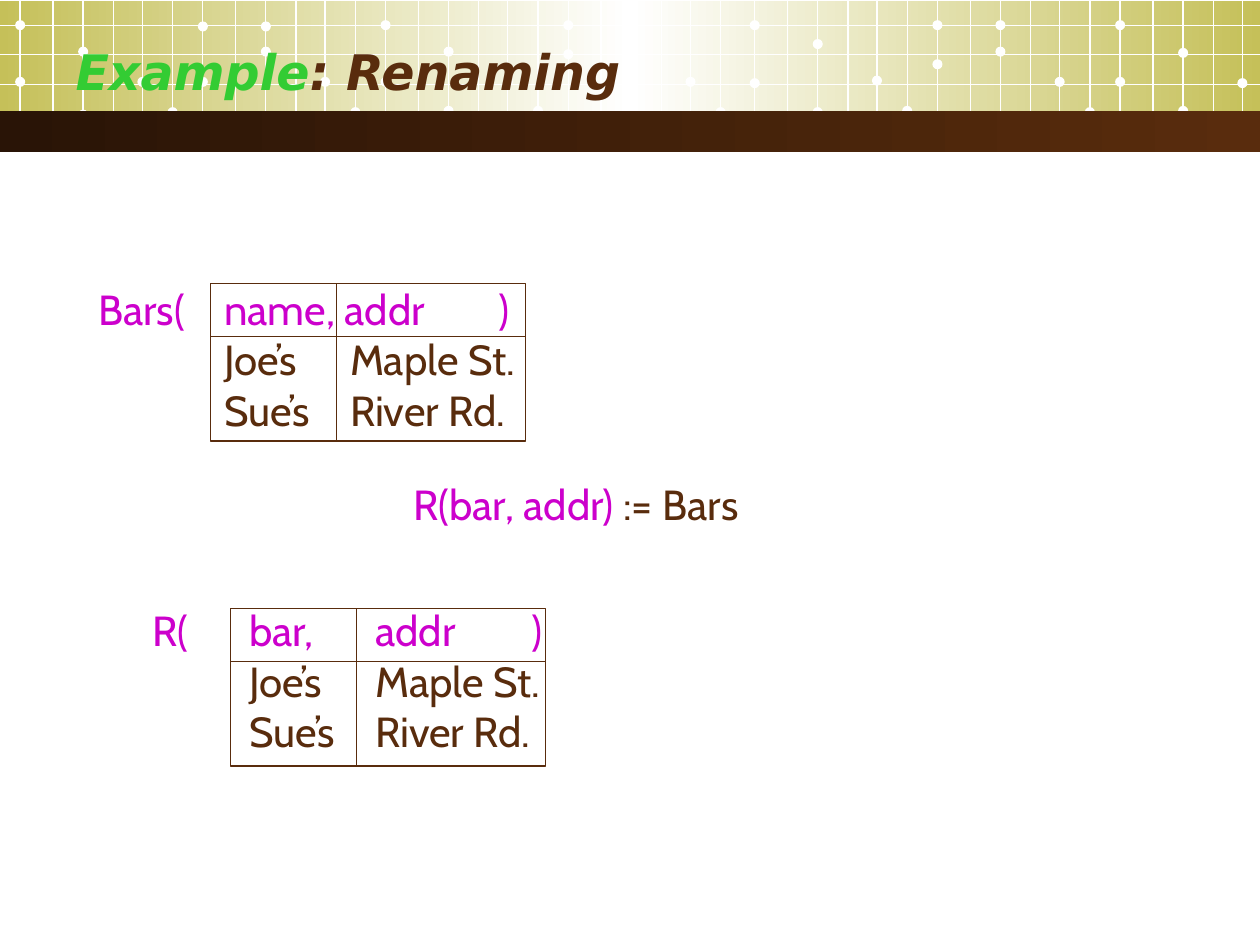
from copy import deepcopy

from pptx import Presentation
from pptx.dml.color import RGBColor
from pptx.enum.shapes import MSO_CONNECTOR as Connector, MSO_SHAPE as Shape
from pptx.enum.text import MSO_ANCHOR as Anchor, PP_ALIGN as Align
from pptx.oxml.ns import qn
from pptx.util import Inches, Pt

OLIVE = RGBColor(0xC5, 0xC0, 0x59)
WHITE = RGBColor(0xFF, 0xFF, 0xFF)
DARK_BROWN = RGBColor(0x29, 0x14, 0x06)
BROWN = RGBColor(0x59, 0x2C, 0x0D)
GREEN = RGBColor(0x33, 0xCC, 0x33)
MAGENTA = RGBColor(0xCC, 0x00, 0xCC)

# Grid columns come in clusters that repeat the same six steps
CLUSTER_STARTS = (0.16, 1.61, 3.06, 4.51, 5.99, 7.44, 8.89)
COLUMN_STEPS = (0, 0.26, 0.5, 0.74, 0.97, 1.21)
GRID_ROWS = (0.2, 0.43, 0.67, 0.89)
DOT_SIZE = 0.08
DOT_COLUMNS = (0, 0, 2, 2, 4, 5)
# Top of each dot, one row for each cluster, in the order of DOT_COLUMNS
DOT_TOPS = (
    (0.16, 0.61, 0.37, 0.87, 0.61, 0.85),
    (0.17, 0.61, 0.17, 0.37, 0.61, 0.85),
    (0.16, 0.61, 0.37, 0.84, 0.61, 0.84),
    (0.16, 0.39, 0.16, 0.38, 0.61, 0.85),
    (0.16, 0.62, 0.31, 0.85, 0.60, 0.84),
    (0.16, 0.47, 0.16, 0.37, 0.61, 0.85),
    (0.16, 0.61, 0.38, 0.84, 0.62),
)


def add_box(shapes, kind, left, top, width, height):
    box = shapes.add_shape(kind, Inches(left), Inches(top), Inches(width), Inches(height))
    box.shadow.inherit = False
    return box


def add_line(shapes, x1, y1, x2, y2, color):
    line = shapes.add_connector(
        Connector.STRAIGHT, Inches(x1), Inches(y1), Inches(x2), Inches(y2))
    line.line.color.rgb = color
    line.line.width = Pt(0.75)
    properties = line.element.spPr
    properties.append(properties.makeelement(qn("a:effectLst"), {}))


def add_gradient_bar(shapes, left, top, width, height, colors):
    bar = add_box(shapes, Shape.RECTANGLE, left, top, width, height)
    bar.line.fill.background()
    bar.fill.gradient()
    bar.fill.gradient_angle = 0
    stop_list = bar.element.spPr.find(qn("a:gradFill")).find(qn("a:gsLst"))
    for _ in colors[2:]:
        stop_list.append(deepcopy(stop_list[0]))
    for index, (stop, color) in enumerate(zip(bar.fill.gradient_stops, colors)):
        stop.position = index / (len(colors) - 1)
        stop.color.rgb = color


def add_span(para, text, color, font, size):
    span = para.add_run()
    span.text = text
    span.font.name = font
    span.font.size = Pt(size)
    span.font.color.rgb = color
    return span


def add_banner(page, left, top, width):
    add_gradient_bar(page.shapes, left, top + 0.01, width, 1.02, (OLIVE, WHITE, OLIVE))
    grid = page.shapes.add_group_shape().shapes
    # Grid lines
    for start in CLUSTER_STARTS:
        for step in COLUMN_STEPS:
            x = start + step
            if x < width:
                add_line(grid, left + x, top, left + x, top + 1.1, WHITE)
    for y in GRID_ROWS:
        add_line(grid, left, top + y, left + width, top + y, WHITE)
    # Dots on the columns
    for start, tops in zip(CLUSTER_STARTS, DOT_TOPS):
        for column, dot_top in zip(DOT_COLUMNS, tops):
            x = left + start + COLUMN_STEPS[column] - DOT_SIZE / 2
            dot = add_box(grid, Shape.OVAL, x, top + dot_top, DOT_SIZE, DOT_SIZE)
            dot.fill.solid()
            dot.fill.fore_color.rgb = WHITE
            dot.line.fill.background()
    # Dark strip below the grid
    add_gradient_bar(page.shapes, left, top + 0.88, width, 0.33, (DARK_BROWN, BROWN))


def add_title(page, left, top, width, height):
    title = page.shapes.title
    title.left, title.top = Inches(left), Inches(top)
    title.width, title.height = Inches(width), Inches(height)
    title.text_frame.vertical_anchor = Anchor.MIDDLE
    para = title.text_frame.paragraphs[0]
    para.alignment = Align.LEFT
    for text, color in (("Example", GREEN), (": Renaming", BROWN)):
        span = add_span(para, text, color, "DejaVu Sans", 28)
        span.font.bold = span.font.italic = True
    # Bring the title in front of the banner
    title.element.getparent().append(title.element)


def add_text(page, left, top, width, height, lines, tabs=()):
    """Each line is a list of (text, color) spans; tabs are in inches."""
    box = page.shapes.add_textbox(Inches(left), Inches(top), Inches(width), Inches(height))
    frame = box.text_frame
    frame.word_wrap = True
    for index, line in enumerate(lines):
        para = frame.add_paragraph() if index else frame.paragraphs[0]
        for text, color in line:
            add_span(para, text, color, "Cabin", 24)
        if tabs:
            properties = para._p.get_or_add_pPr()
            stops = properties.makeelement(qn("a:tabLst"), {})
            properties.append(stops)
            for tab in tabs[index]:
                stops.append(stops.makeelement(
                    qn("a:tab"), {"pos": str(Inches(tab)), "algn": "l"}))


def add_relation(page, left, top, text_left, text_top, text_width, header, header_tabs):
    rows = [[(header, MAGENTA)], [("\tJoe’s\tMaple St.", BROWN)], [("\tSue’s\tRiver Rd.", BROWN)]]
    add_text(page, text_left, text_top, text_width, 1.3, rows, (header_tabs, (1, 2), (1, 2)))
    # Frame with a header rule and a column rule
    width, height = 2.5, 1.25
    frame = add_box(page.shapes, Shape.RECTANGLE, left, top, width, height)
    frame.fill.background()
    frame.line.color.rgb = BROWN
    frame.line.width = Pt(0.75)
    add_line(page.shapes, left, top + 0.42, left + width, top + 0.42, BROWN)
    add_line(page.shapes, left + 1, top, left + 1, top + height, BROWN)


def main():
    deck = Presentation()
    deck.slide_width, deck.slide_height = Inches(10), Inches(7.5)
    page = deck.slides.add_slide(deck.slide_layouts[5])
    add_banner(page, 0, 0, 10)
    add_title(page, 0.5, 0.25, 8.08, 0.62)
    add_relation(page, 1.67, 2.25, 0.68, 2.2, 3.79, "Bars(\tname, addr\t)", (1, 3.18))
    add_relation(page, 1.83, 4.83, 0.88, 4.75, 3.73, "\tR(\tbar,\taddr\t)",
                 (0.23, 1, 2, 3.24))
    add_text(page, 3.18, 3.75, 3.2, 0.5, [[("R(bar, addr)", MAGENTA), (" := Bars", BROWN)]])
    deck.save("out.pptx")


if __name__ == "__main__":
    main()
